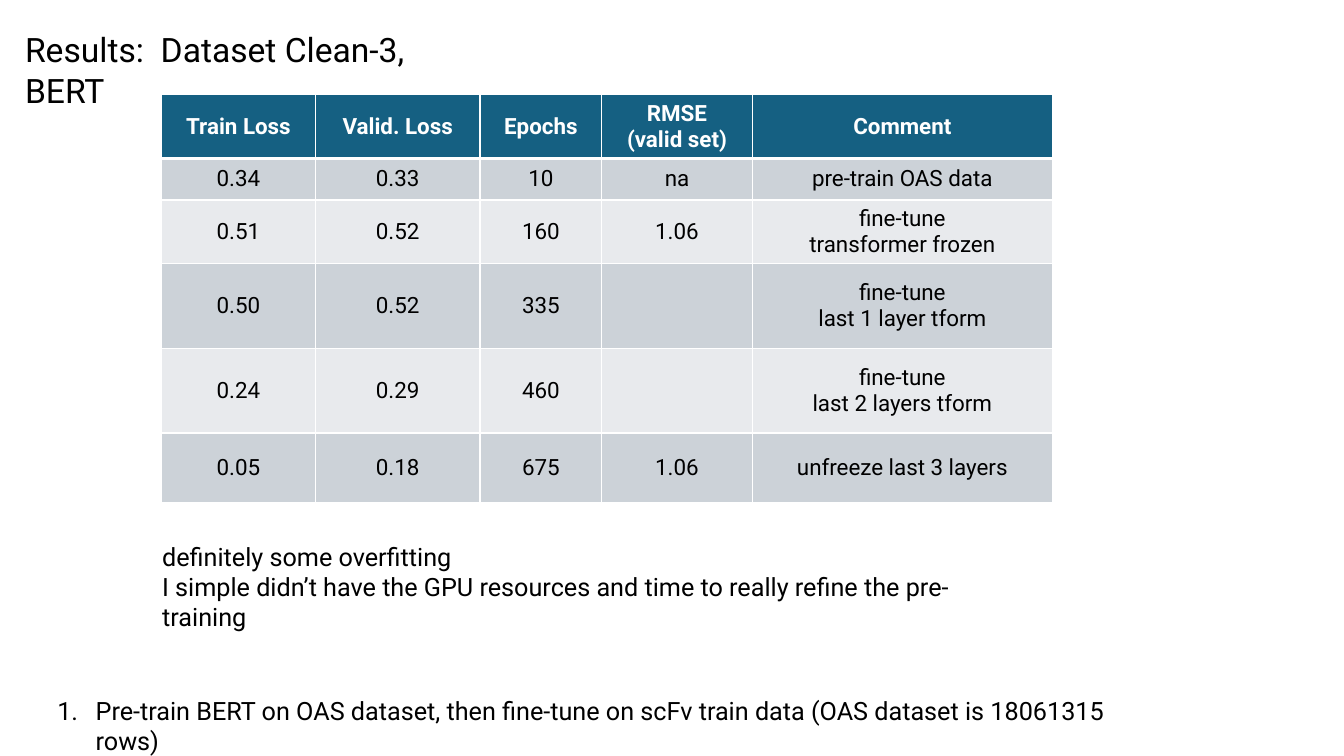
from dataclasses import dataclass

from lxml.etree import SubElement
from pptx import Presentation
from pptx.dml.color import RGBColor
from pptx.enum.text import MSO_ANCHOR, MSO_AUTO_SIZE, PP_ALIGN
from pptx.oxml.ns import qn
from pptx.util import Inches, Pt


@dataclass(frozen=True)
class Theme:
    font: str = "Roboto"
    ink: str = "000000"
    white: str = "FFFFFF"
    header: str = "156082"
    bands: tuple = ("CCD2D8", "E8EAED")
    title_size: int = 24
    body_size: int = 18
    table_size: int = 16


class SlideBuilder:
    def __init__(self, slide, theme):
        self.slide = slide
        self.theme = theme

    def style(self, paragraph, size, color, bold=False):
        font = paragraph.font
        font.name = self.theme.font
        font.size = Pt(size)
        font.bold = bold
        font.color.rgb = RGBColor.from_string(color)

    def text(self, wording, left, top, width, height, size):
        box = self.slide.shapes.add_textbox(
            Inches(left), Inches(top), Inches(width), Inches(height)
        )
        frame = box.text_frame
        frame.word_wrap = True
        frame.auto_size = MSO_AUTO_SIZE.SHAPE_TO_FIT_TEXT
        frame.text = wording
        for paragraph in frame.paragraphs:
            self.style(paragraph, size, self.theme.ink)
        return frame

    def numbered(self, wording, left, top, width, height, size):
        frame = self.text(wording, left, top, width, height, size)
        for paragraph in frame.paragraphs:
            properties = paragraph._p.get_or_add_pPr()
            properties.set("marL", str(Inches(0.38)))
            properties.set("indent", str(-Inches(0.38)))
            numbering = properties.makeelement(
                qn("a:buAutoNum"), {"type": "arabicPeriod"}
            )
            properties.insert(0, numbering)

    def header_borders(self, cell):
        properties = cell._tc.get_or_add_tcPr()
        for side, points in (("L", 1), ("R", 1), ("T", 1), ("B", 3)):
            line = SubElement(properties, qn(f"a:ln{side}"), w=str(Pt(points)))
            fill = SubElement(line, qn("a:solidFill"))
            SubElement(fill, qn("a:srgbClr"), val=self.theme.white)

    def cell(self, cell, wording, fill, color, bold):
        cell.text = wording
        cell.vertical_anchor = MSO_ANCHOR.MIDDLE
        cell.fill.solid()
        cell.fill.fore_color.rgb = RGBColor.from_string(fill)
        for paragraph in cell.text_frame.paragraphs:
            paragraph.alignment = PP_ALIGN.CENTER
            self.style(paragraph, self.theme.table_size, color, bold)

    def table(self, records, left, top, widths, heights):
        table = self.slide.shapes.add_table(
            len(heights), len(widths), Inches(left), Inches(top),
            Inches(sum(widths)), Inches(sum(heights)),
        ).table
        for column, width in zip(table.columns, widths):
            column.width = Inches(width)
        for row, height in zip(table.rows, heights):
            row.height = Inches(height)
        for index, record in enumerate(records):
            is_header = index == 0
            band = self.theme.bands[(index - 1) % 2]
            fill = self.theme.header if is_header else band
            color = self.theme.white if is_header else self.theme.ink
            for column, wording in enumerate(record):
                cell = table.cell(index, column)
                if is_header:
                    self.header_borders(cell)
                self.cell(cell, wording, fill, color, is_header)


RESULTS = [
    ("Train Loss", "Valid. Loss", "Epochs", "RMSE\n(valid set)", "Comment"),
    ("0.34", "0.33", "10", "na", "pre-train OAS data"),
    ("0.51", "0.52", "160", "1.06", "fine-tune\ntransformer frozen"),
    ("0.50", "0.52", "335", "", "fine-tune\nlast 1 layer tform"),
    ("0.24", "0.29", "460", "", "fine-tune\nlast 2 layers tform"),
    ("0.05", "0.18", "675", "1.06", "unfreeze last 3 layers"),
]


def main():
    presentation = Presentation()
    presentation.slide_width = Inches(13.33)
    presentation.slide_height = Inches(7.5)
    slide = presentation.slides.add_slide(presentation.slide_layouts[6])
    theme = Theme()
    builder = SlideBuilder(slide, theme)

    builder.text(
        "Results:  Dataset Clean-3, BERT", 0.15, 0.24, 4.81, 0.5, theme.title_size
    )
    builder.table(
        RESULTS, 1.6, 0.94,
        widths=(1.53, 1.63, 1.21, 1.49, 2.98),
        heights=(0.6, 0.41, 0.6, 0.84, 0.84, 0.69),
    )
    builder.numbered(
        "Pre-train BERT on OAS dataset, then fine-tune on scFv train data "
        "(OAS dataset is 18061315 rows)",
        0.47, 6.85, 10.95, 0.4, theme.body_size,
    )
    builder.text(
        "definitely some overfitting\n"
        "I simple didn’t have the GPU resources and time "
        "to really refine the pre-training",
        1.51, 5.32, 8.69, 0.71, theme.body_size,
    )
    presentation.save("out.pptx")


if __name__ == "__main__":
    main()
